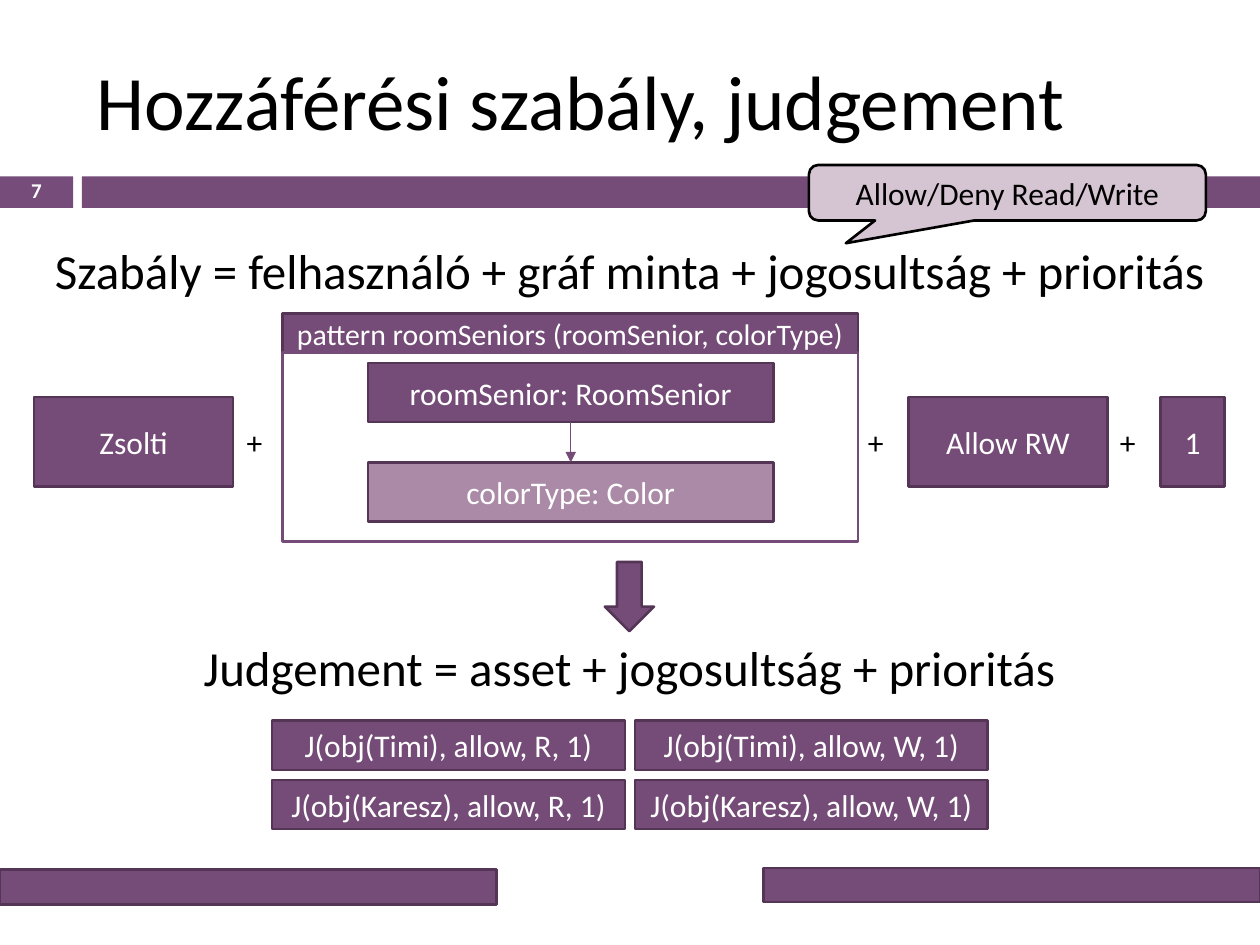
from typing import NamedTuple, Optional

from lxml import etree
from pptx import Presentation
from pptx.dml.color import RGBColor
from pptx.enum.shapes import MSO_CONNECTOR, MSO_SHAPE as Shape
from pptx.enum.text import MSO_ANCHOR as Anchor, PP_ALIGN as Align
from pptx.oxml.ns import qn
from pptx.util import Inches, Pt

COLORS = {
    "purple": "754C78",
    "number": "754C7A",
    "edge": "543556",
    "mauve": "AA8AA6",
    "pale": "D5C5D3",
    "white": "FFFFFF",
    "black": "000000",
}


class Box(NamedTuple):
    left: float
    top: float
    width: float
    height: float
    text: str = ""
    size: float = 18
    fill: str = "purple"
    line: Optional[str] = "edge"
    color: str = "white"
    kind: Shape = Shape.RECTANGLE
    adjust: tuple = ()


class Label(NamedTuple):
    left: float
    top: float
    width: float
    height: float
    text: str
    size: float = 18
    color: str = "black"
    align: Align = Align.CENTER
    anchor: Anchor = Anchor.TOP
    wrap: bool = True
    bold: bool = False
    spacing: Optional[float] = None


def rgb(name: str) -> RGBColor:
    return RGBColor.from_string(COLORS[name])


def write(frame, text: str, color: str, align: Align, spacing: Optional[float],
          frame_format: dict, font_format: dict) -> None:
    for name, value in frame_format.items():
        setattr(frame, name, value)
    paragraph = frame.paragraphs[0]
    for name, value in {"alignment": align, "line_spacing": spacing}.items():
        setattr(paragraph, name, value)
    run = paragraph.add_run()
    run.text = text
    for name, value in {"name": "Calibri", **font_format}.items():
        setattr(run.font, name, value)
    run.font.color.rgb = rgb(color)


def draw_box(slide, box: Box):
    shape = slide.shapes.add_shape(box.kind, *map(Inches, box[:4]))
    shape.shadow.inherit = False
    for index, value in enumerate(box.adjust):
        shape.adjustments[index] = value
    shape.fill.solid()
    shape.fill.fore_color.rgb = rgb(box.fill)
    if box.line:
        shape.line.color.rgb = rgb(box.line)
        shape.line.width = Pt(1.5)
    else:
        shape.line.fill.background()
    if box.text:
        write(shape.text_frame, box.text, box.color, Align.CENTER, None,
              {"word_wrap": True, "vertical_anchor": Anchor.MIDDLE},
              {"size": Pt(box.size)})
    return shape


def draw_label(slide, label: Label) -> None:
    frame = slide.shapes.add_textbox(*map(Inches, label[:4])).text_frame
    write(frame, label.text, label.color, label.align, label.spacing,
          {"word_wrap": label.wrap, "vertical_anchor": label.anchor},
          {"size": Pt(label.size), "bold": label.bold})


def draw_arrow(slide, source, target) -> None:
    """Join the bottom of one box to the top of another."""
    arrow = slide.shapes.add_connector(MSO_CONNECTOR.STRAIGHT, 0, 0, 0, 0)
    arrow.begin_connect(source, 2)
    arrow.end_connect(target, 0)
    arrow.line.color.rgb = rgb("purple")
    arrow.line.width = Pt(0.79)
    etree.SubElement(arrow.line._get_or_add_ln(), qn("a:tailEnd"), type="triangle")
    etree.SubElement(arrow._element.spPr, qn("a:effectLst"))


def main() -> None:
    deck = Presentation()
    deck.slide_width, deck.slide_height = Inches(10), Inches(7.5)
    slide = deck.slides.add_slide(deck.slide_layouts[6])

    # Header and footer bars
    for bar in (
        Box(0, 1.4, 0.58, 0.25, fill="number", line=None),
        Box(0.65, 1.4, 9.35, 0.25, line=None),
        Box(6.06, 6.89, 3.94, 0.27),
        Box(0, 6.9, 3.94, 0.28),
    ):
        draw_box(slide, bar)

    # Title, slide number and the two formulas
    for label in (
        Label(0.67, 0.25, 8.92, 1.08, "Hozzáférési szabály, judgement", 44,
              align=Align.LEFT, anchor=Anchor.MIDDLE),
        Label(0, 1.39, 0.58, 0.27, "7", 12, "white", anchor=Anchor.MIDDLE,
              bold=True, spacing=0.8),
        Label(0.31, 1.86, 9.37, 0.57,
              "Szabály = felhasználó + gráf minta + jogosultság + prioritás", 28),
        Label(0.31, 5.01, 9.37, 0.57,
              "Judgement = asset + jogosultság + prioritás", 28),
    ):
        draw_label(slide, label)

    # Callout on permissions
    draw_box(slide, Box(6.42, 1.31, 3.15, 0.44, "Allow/Deny Read/Write",
                        fill="pale", line="black", color="black",
                        kind=Shape.ROUNDED_RECTANGULAR_CALLOUT,
                        adjust=(-0.407, 0.911, 0.167)))

    # Graph pattern
    draw_box(slide, Box(2.24, 2.49, 4.57, 0.31,
                        "pattern roomSeniors (roomSenior, colorType)", 17))
    draw_box(slide, Box(2.24, 2.8, 4.57, 1.5, fill="white", line="purple"))
    senior = draw_box(slide, Box(2.92, 2.88, 3.22, 0.47, "roomSenior: RoomSenior"))
    color = draw_box(slide, Box(2.92, 3.67, 3.22, 0.47, "colorType: Color", fill="mauve"))
    draw_arrow(slide, senior, color)

    # User, permission and priority around the pattern
    for left, width, part in ((0.27, 1.58, "Zsolti"), (7.21, 1.58, "Allow RW"),
                              (9.21, 0.51, "1")):
        draw_box(slide, Box(left, 3.15, width, 0.71, part))
    for left in (1.86, 6.79, 8.79):
        draw_label(slide, Label(left, 3.31, 0.34, 0.4, "+", align=Align.LEFT, wrap=False))

    # Rule leads to judgements
    draw_box(slide, Box(4.8, 4.46, 0.39, 0.55, kind=Shape.DOWN_ARROW, adjust=(0.5, 0.5)))
    for row, asset in enumerate(("Timi", "Karesz")):
        for column, access in enumerate("RW"):
            draw_box(slide, Box(2.16 + 2.88 * column, 5.72 + 0.47 * row, 2.8, 0.39,
                                f"J(obj({asset}), allow, {access}, 1)"))

    deck.save("out.pptx")


if __name__ == "__main__":
    main()
